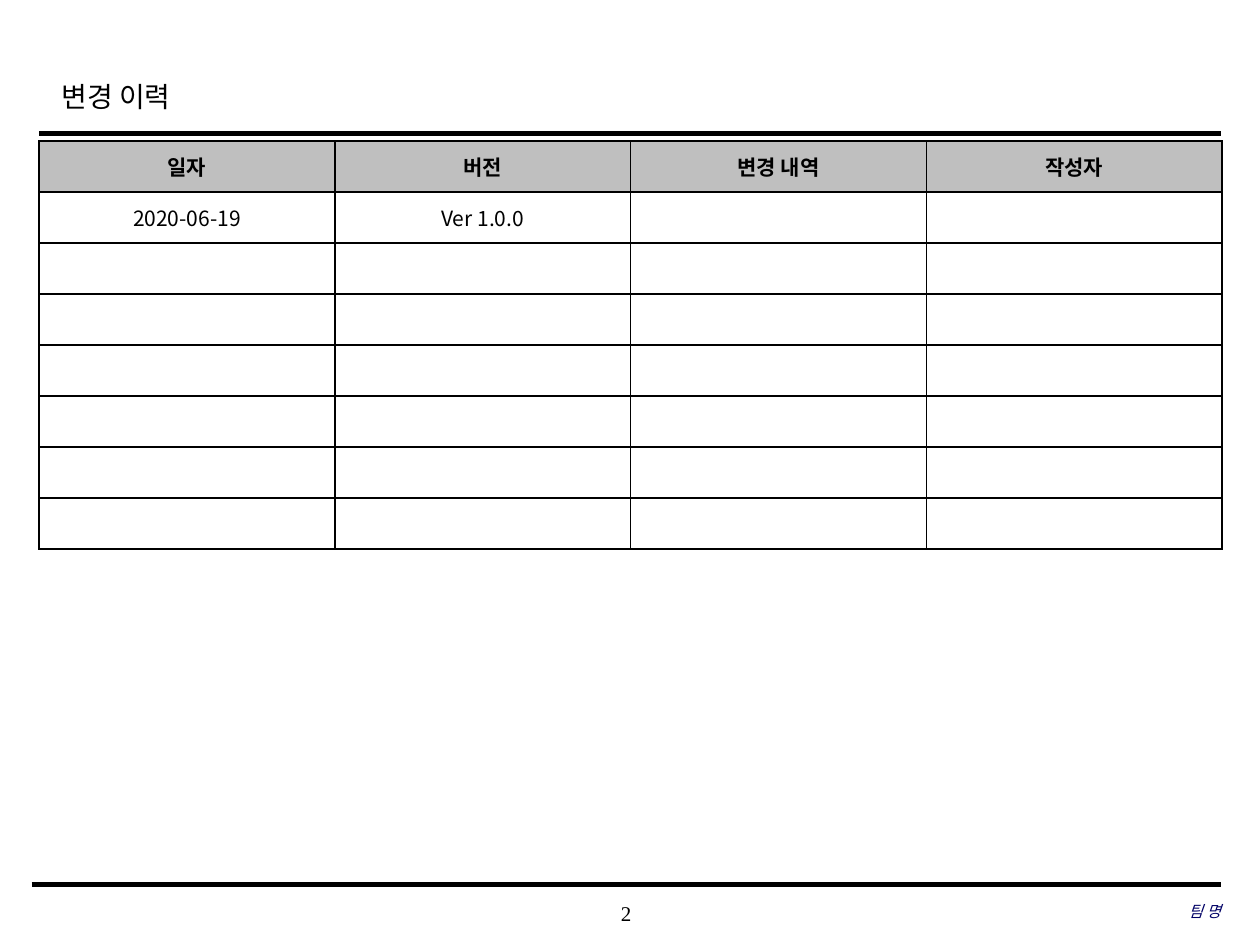
"""Build a change history slide with a ruled header, a history table and a footer."""
from dataclasses import dataclass

import pptx
import pptx.dml.color
import pptx.enum.shapes
import pptx.enum.text
import pptx.oxml.ns
import pptx.slide
import pptx.table
import pptx.text.text
import pptx.util
from lxml import etree

Align = pptx.enum.text.PP_ALIGN
Anchor = pptx.enum.text.MSO_ANCHOR
Inches = pptx.util.Inches
Pt = pptx.util.Pt

SLIDE_WIDTH, SLIDE_HEIGHT = 10, 7.5
TABLE_LEFT, TABLE_TOP, TABLE_WIDTH = 0.31, 1.12, 9.39
COLUMN_COUNT, ROW_COUNT, ROW_HEIGHT = 4, 8, 0.405
HISTORY = [
    ["일자", "버전", "변경 내역", "작성자"],
    ["2020-06-19", "Ver 1.0.0"],
]


@dataclass(frozen=True)
class Theme:
    ink: str = "000000"
    team: str = "000066"
    header: str = "BFBFBF"
    paper: str = "FFFFFF"
    serif: str = "Times New Roman"
    korean: str = "Noto Sans CJK KR"
    title_size: int = 16
    body_size: int = 12
    team_size: int = 9
    border: int = 1


THEME = Theme()


@dataclass(frozen=True)
class Label:
    text: str
    left: float
    top: float
    width: float
    height: float
    size: int
    align: Align
    color: str = THEME.ink
    italic: bool = False
    inset: tuple[float, float] = (0, 0)
    spacing: float = 1.0


@dataclass(frozen=True)
class Rule:
    left: float
    right: float
    top: float
    weight: float


LABELS = [
    Label("2", 3.93, 7.08, 2.08, 0.33, THEME.body_size, Align.CENTER),
    Label("변경 이력", 0.39, 0.49, 7.55, 0.5, THEME.title_size, Align.LEFT,
          inset=(0.1, 0.05), spacing=1.2),
    Label("팀 명", 6.63, 7.07, 3.06, 0.33, THEME.team_size, Align.RIGHT,
          color=THEME.team, italic=True),
]
RULES = [Rule(0.31, 9.69, 1.06, 2.5), Rule(0.25, 9.69, 7.02, 3)]


def rgb(color: str) -> pptx.dml.color.RGBColor:
    """Turn a hex string into a colour."""
    return pptx.dml.color.RGBColor.from_string(color)


def style_paragraph(paragraph: pptx.text.text._Paragraph, face: str, size: int,
                    color: str, align: Align, bold: bool = False,
                    italic: bool = False) -> None:
    """Set alignment and font, with the Korean face for Korean letters."""
    paragraph.alignment = align
    font = paragraph.font
    font.name, font.size, font.bold, font.italic = face, Pt(size), bold, italic
    font.color.rgb = rgb(color)
    defaults = paragraph._p.pPr.find(pptx.oxml.ns.qn("a:defRPr"))
    etree.SubElement(defaults, pptx.oxml.ns.qn("a:ea"), typeface=THEME.korean)


def draw_label(slide: pptx.slide.Slide, label: Label) -> None:
    """Draw one line of text in a box."""
    box = slide.shapes.add_textbox(*map(Inches, (label.left, label.top, label.width, label.height)))
    frame = box.text_frame
    frame.word_wrap = True
    frame.vertical_anchor = Anchor.MIDDLE
    frame.margin_left = frame.margin_right = Inches(label.inset[0])
    frame.margin_top = frame.margin_bottom = Inches(label.inset[1])
    paragraph = frame.paragraphs[0]
    paragraph.text = label.text
    paragraph.line_spacing = label.spacing
    style_paragraph(paragraph, THEME.serif, label.size, label.color, label.align,
                    italic=label.italic)


def draw_rule(slide: pptx.slide.Slide, rule: Rule) -> None:
    """Draw a horizontal line without a shadow."""
    line = slide.shapes.add_connector(
        pptx.enum.shapes.MSO_CONNECTOR.STRAIGHT,
        *map(Inches, (rule.left, rule.top, rule.right, rule.top)))
    line.line.color.rgb = rgb(THEME.ink)
    line.line.width = Pt(rule.weight)
    etree.SubElement(line._element.spPr, pptx.oxml.ns.qn("a:effectLst"))


def add_borders(cell: pptx.table._Cell) -> None:
    """Put a solid border on every side of a cell."""
    properties = cell._tc.get_or_add_tcPr()
    for position, side in enumerate(("lnL", "lnR", "lnT", "lnB")):
        border = etree.Element(pptx.oxml.ns.qn(f"a:{side}"), w=str(Pt(THEME.border)))
        fill = etree.SubElement(border, pptx.oxml.ns.qn("a:solidFill"))
        etree.SubElement(fill, pptx.oxml.ns.qn("a:srgbClr"), val=THEME.ink)
        properties.insert(position, border)


def draw_history(slide: pptx.slide.Slide) -> None:
    """Draw the history table with a grey header and empty rows below."""
    table = slide.shapes.add_table(
        ROW_COUNT, COLUMN_COUNT,
        *map(Inches, (TABLE_LEFT, TABLE_TOP, TABLE_WIDTH, ROW_COUNT * ROW_HEIGHT))).table
    for row_index, row in enumerate(table.rows):
        is_header = row_index == 0
        texts = HISTORY[row_index] if row_index < len(HISTORY) else []
        for column_index, cell in enumerate(row.cells):
            cell.fill.solid()
            cell.fill.fore_color.rgb = rgb(THEME.header if is_header else THEME.paper)
            cell.vertical_anchor = Anchor.MIDDLE
            cell.margin_top = cell.margin_bottom = Inches(0.03)
            add_borders(cell)
            paragraph = cell.text_frame.paragraphs[0]
            if column_index < len(texts):
                paragraph.text = texts[column_index]
            style_paragraph(paragraph, THEME.korean, THEME.body_size, THEME.ink,
                            Align.CENTER, bold=is_header)


def main() -> None:
    """Build and save the presentation."""
    presentation = pptx.Presentation()
    presentation.slide_width = Inches(SLIDE_WIDTH)
    presentation.slide_height = Inches(SLIDE_HEIGHT)
    slide = presentation.slides.add_slide(presentation.slide_layouts[6])
    for rule in RULES:
        draw_rule(slide, rule)
    for label in LABELS:
        draw_label(slide, label)
    draw_history(slide)
    presentation.save("out.pptx")


if __name__ == "__main__":
    main()
